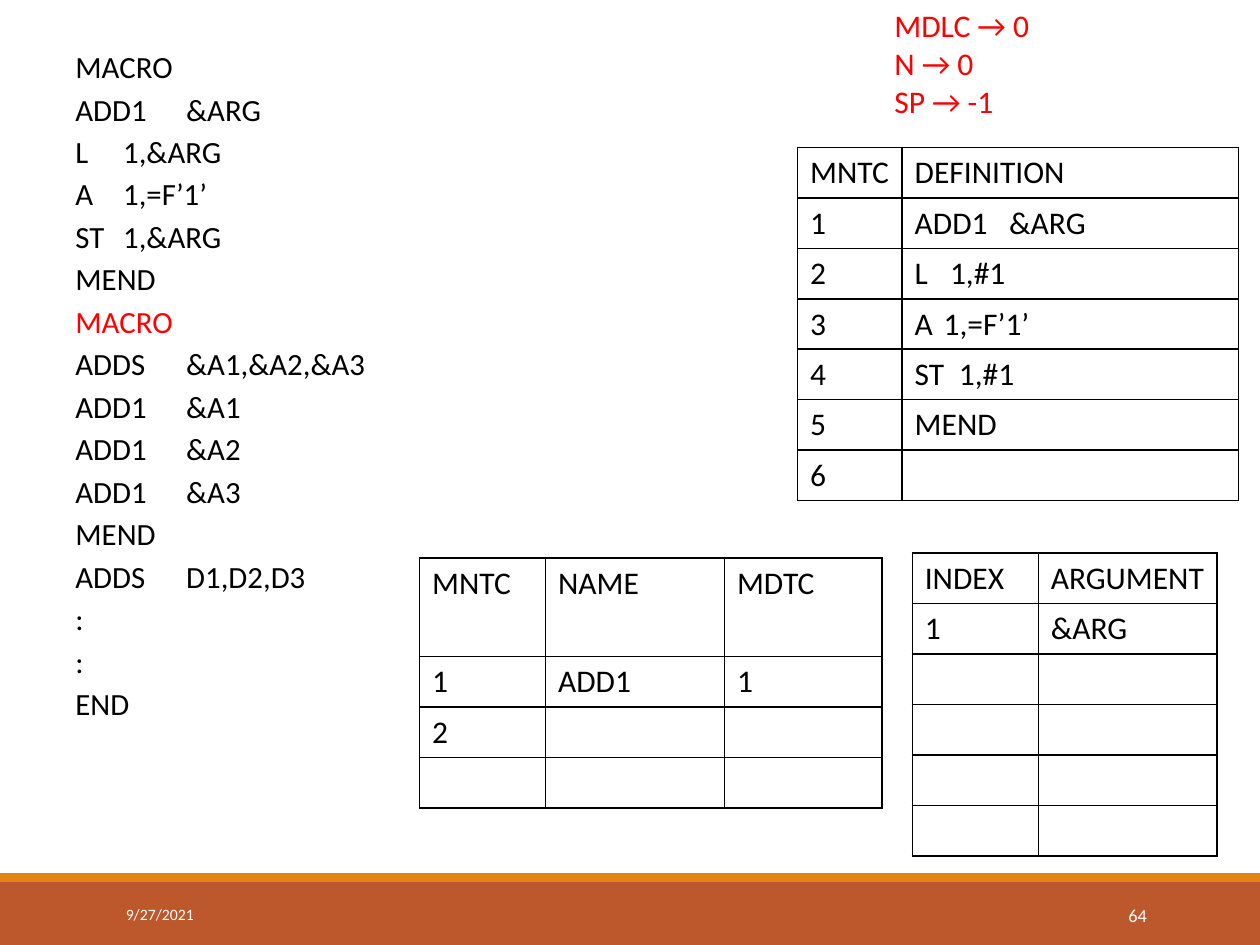
from pptx import Presentation
from pptx.dml.color import RGBColor
from pptx.enum.shapes import MSO_SHAPE
from pptx.enum.text import MSO_ANCHOR, PP_ALIGN
from pptx.oxml import parse_xml
from pptx.oxml.ns import nsdecls
from pptx.util import Inches, Pt

RECTANGLE = MSO_SHAPE.RECTANGLE
MIDDLE = MSO_ANCHOR.MIDDLE
LEFT, RIGHT = PP_ALIGN.LEFT, PP_ALIGN.RIGHT
FONT = "Calibri"
COLORS = {"text": "000000", "accent": "FF0000", "light": "FFFFFF",
          "footer": "BD582C", "stripe": "E48312"}
ROW_HEIGHT = 0.4

SOURCE_LINES = ["MACRO", "ADD1\t&ARG", "L\t1,&ARG", "A\t1,=F’1’", "ST\t1,&ARG", "MEND",
                "MACRO", "ADDS\t&A1,&A2,&A3", "ADD1\t&A1", "ADD1\t&A2", "ADD1\t&A3",
                "MEND", "ADDS\tD1,D2,D3", ":", ":", "END"]
CURRENT_LINE = 6
COUNTERS = ["MDLC → 0", "N → 0", "SP → -1"]

ARGUMENT_ROWS = [["INDEX", "ARGUMENT"], ["1", "&ARG"]] + [["", ""]] * 4
NAME_ROWS = [["MNTC", "NAME", "MDTC"], ["1", "ADD1", "1"], ["2", "", ""], ["", "", ""]]
DEFINITION_ROWS = [["MNTC", "DEFINITION"], ["1", "ADD1\t&ARG"], ["2", "L\t1,#1"],
                   ["3", "A\t1,=F’1’"], ["4", "ST\t1,#1"], ["5", "MEND"], ["6", ""]]
OPERAND_STOPS = {"ADD1\t&ARG": 0.75, "L\t1,#1": 0.28, "A\t1,=F’1’": 0.23, "ST\t1,#1": 0.35}


def add_span(para, text, size, color):
    span = para.add_run()
    span.text = text
    span.font.name = FONT
    span.font.size = Pt(size)
    span.font.color.rgb = RGBColor.from_string(COLORS[color])


def add_lines(page, box, lines, size, color, align=LEFT, anchor=None):
    """Add a wrapped text box with one paragraph per line; return its paragraphs."""
    frame = page.shapes.add_textbox(*map(Inches, box)).text_frame
    frame.word_wrap = True
    if anchor is not None:
        frame.vertical_anchor = anchor
    for index, line in enumerate(lines):
        para = frame.add_paragraph() if index else frame.paragraphs[0]
        para.alignment = align
        add_span(para, line, size, color)
    return frame.paragraphs


def add_source_listing(page, box):
    paras = add_lines(page, box, SOURCE_LINES, 17.6, "text")
    for index, para in enumerate(paras):
        properties = para._p.get_or_add_pPr()
        properties.set("marL", str(Inches(0.38)))
        properties.set("indent", str(Inches(-0.38)))
        if index:
            para.space_before = Pt(3.15)
    paras[CURRENT_LINE].runs[0].font.color.rgb = RGBColor.from_string(COLORS["accent"])


def add_borders(cell):
    properties = cell._tc.get_or_add_tcPr()
    for side in ("lnL", "lnR", "lnT", "lnB"):
        properties.append(parse_xml(
            f'<a:{side} {nsdecls("a")} w="{Pt(1)}"><a:solidFill>'
            f'<a:srgbClr val="{COLORS["text"]}"/></a:solidFill></a:{side}>'))


def add_tab_stop(para, position):
    para._p.get_or_add_pPr().append(parse_xml(
        f'<a:tabLst {nsdecls("a")}><a:tab pos="{Inches(position)}" algn="l"/></a:tabLst>'))


def add_grid(page, left, top, widths, rows, header_height=ROW_HEIGHT):
    height = header_height + ROW_HEIGHT * (len(rows) - 1)
    table = page.shapes.add_table(len(rows), len(widths), Inches(left), Inches(top),
                                  Inches(sum(widths)), Inches(height)).table
    table.first_row = table.horz_banding = False
    for column, width in zip(table.columns, widths):
        column.width = Inches(width)
    for index, values in enumerate(rows):
        table.rows[index].height = Inches(ROW_HEIGHT if index else header_height)
        for cell, value in zip(table.rows[index].cells, values):
            add_borders(cell)
            cell.fill.background()
            para = cell.text_frame.paragraphs[0]
            if value in OPERAND_STOPS:
                add_tab_stop(para, OPERAND_STOPS[value])
            if value:
                add_span(para, value, 18, "text")
            else:
                para.font.size = Pt(18)


def add_bar(page, box, color):
    bar = page.shapes.add_shape(RECTANGLE, *map(Inches, box))
    bar.shadow.inherit = False
    bar.fill.solid()
    bar.fill.fore_color.rgb = RGBColor.from_string(COLORS[color])
    bar.line.fill.background()


def add_footer(page, left, top, width, height):
    add_bar(page, (left, top, width, height), "footer")
    add_bar(page, (left, top - 0.07, width, 0.07), "stripe")
    add_lines(page, (left + 8.12, top + 0.06, 1.08, 0.4), ["64"], 10.5, "light", RIGHT, MIDDLE)
    add_lines(page, (left + 0.9, top + 0.06, 2.03, 0.4), ["9/27/2021"], 9, "light",
              anchor=MIDDLE)


def main():
    deck = Presentation()
    deck.slide_width, deck.slide_height = Inches(10), Inches(7.5)
    page = deck.slides.add_slide(deck.slide_layouts[6])
    add_footer(page, 0, 7, 10, 0.5)
    add_source_listing(page, (0.5, 0.33, 3.17, 4.95))
    add_lines(page, (7, 0, 3, 1.01), COUNTERS, 18, "accent")
    add_grid(page, 7.24, 4.39, [1, 1.42], ARGUMENT_ROWS)
    add_grid(page, 3.33, 4.43, [1, 1.42, 1.25], NAME_ROWS, header_height=0.78)
    add_grid(page, 6.33, 1.17, [0.83, 2.67], DEFINITION_ROWS)
    deck.save("out.pptx")


if __name__ == "__main__":
    main()
